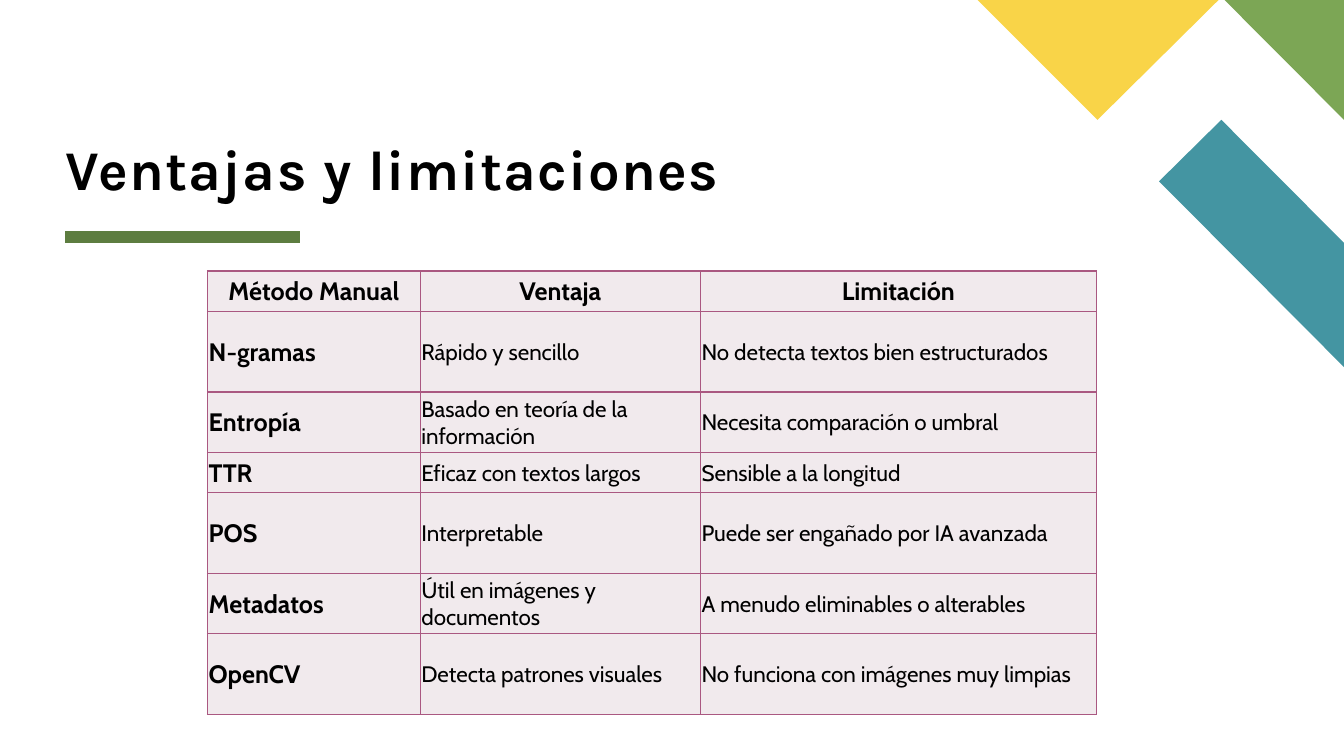
import pptx
import pptx.dml.color
import pptx.enum.shapes
import pptx.enum.text
import pptx.oxml
import pptx.oxml.ns
import pptx.util

Cm = pptx.util.Cm
Pt = pptx.util.Pt
RGBColor = pptx.dml.color.RGBColor
ALIGN = pptx.enum.text.PP_ALIGN
ANCHOR = pptx.enum.text.MSO_ANCHOR

BLACK = RGBColor(0x00, 0x00, 0x00)
TEAL = RGBColor(0x44, 0x95, 0xA2)
GREEN = RGBColor(0x7C, 0xA6, 0x55)
DARK_GREEN = RGBColor(0x5D, 0x7D, 0x40)
YELLOW = RGBColor(0xF9, 0xD4, 0x48)
MAUVE = RGBColor(0xAA, 0x58, 0x81)
PALE_MAUVE = RGBColor(0xF1, 0xEA, 0xED)

TITLE_FONT = {"name": "Karla", "size": Pt(40), "bold": True}
HEADING_FONT = {"name": "Cabin", "size": Pt(18), "bold": True}
BODY_FONT = {"name": "Cabin", "size": Pt(16), "bold": False}
CELL_FORMAT = {
    "margin_left": Cm(0.03),
    "margin_right": Cm(0.03),
    "margin_top": Cm(0.03),
    "margin_bottom": 0,
    "vertical_anchor": ANCHOR.MIDDLE,
}
TITLE_FRAME = {
    "margin_left": 0,
    "margin_right": 0,
    "margin_top": 0,
    "margin_bottom": 0,
    "vertical_anchor": ANCHOR.BOTTOM,
    "word_wrap": True,
    "auto_size": pptx.enum.text.MSO_AUTO_SIZE.NONE,
}

# Corner pieces: colour and corners in cm, relative to the decoration box
CORNER_PIECES = [
    (TEAL, [(4.57, 4.57), (6.14, 3.02), (9.23, 6.12), (9.23, 9.25)]),
    (GREEN, [(6.22, 0), (9.23, 0), (9.23, 3.02)]),
    (YELLOW, [(0, 0), (6.07, 0), (3.02, 3.02)]),
]

COLUMN_WIDTHS = [5.36, 7.06, 9.98]
ROW_HEIGHTS = [1.02, 2.03, 1.52, 1.02, 2.03, 1.52, 2.03]
METHODS = [
    ("Método Manual", "Ventaja", "Limitación"),
    ("N-gramas", "Rápido y sencillo", "No detecta textos bien estructurados"),
    ("Entropía", "Basado en teoría de la información", "Necesita comparación o umbral"),
    ("TTR", "Eficaz con textos largos", "Sensible a la longitud"),
    ("POS", "Interpretable", "Puede ser engañado por IA avanzada"),
    ("Metadatos", "Útil en imágenes y documentos", "A menudo eliminables o alterables"),
    ("OpenCV", "Detecta patrones visuales", "No funciona con imágenes muy limpias"),
]


def apply_format(target, values):
    for name, value in values.items():
        setattr(target, name, value)


def write_text(paragraph, text, font_format):
    run = paragraph.add_run()
    run.text = text
    apply_format(run.font, font_format)
    run.font.color.rgb = BLACK
    return run


def add_corner_decoration(slide, left, top):
    for color, corners in CORNER_PIECES:
        points = [(Cm(left + x), Cm(top + y)) for x, y in corners]
        builder = slide.shapes.build_freeform(*points[0])
        builder.add_line_segments(points[1:], close=True)
        shape = builder.convert_to_shape()
        shape.shadow.inherit = False
        shape.fill.solid()
        shape.fill.fore_color.rgb = color
        shape.line.fill.background()


def add_title(slide, left, top, width, height):
    title = slide.shapes.title
    apply_format(title, {"left": Cm(left), "top": Cm(top),
                         "width": Cm(width), "height": Cm(height)})
    apply_format(title.text_frame, TITLE_FRAME)
    paragraph = title.text_frame.paragraphs[0]
    apply_format(paragraph, {"alignment": ALIGN.LEFT, "line_spacing": 0.8})
    run = write_text(paragraph, "Ventajas y limitaciones", TITLE_FONT)
    run.font._element.set("spc", "100")

    # Accent line under the title
    line_top = Cm(top + height + 0.89)
    line = slide.shapes.add_connector(
        pptx.enum.shapes.MSO_CONNECTOR.STRAIGHT,
        Cm(left), line_top, Cm(left + 5.92), line_top)
    line.line.color.rgb = DARK_GREEN
    line.line.width = Pt(8)
    line._element.spPr.append(pptx.oxml.parse_xml(
        f'<a:effectLst {pptx.oxml.ns.nsdecls("a")}/>'))


def add_cell_borders(cell):
    properties = cell._tc.get_or_add_tcPr()
    for side in ("lnL", "lnR", "lnT", "lnB"):
        properties.append(pptx.oxml.parse_xml(
            f'<a:{side} {pptx.oxml.ns.nsdecls("a")} w="{Pt(1)}">'
            f'<a:solidFill><a:srgbClr val="{MAUVE}"/></a:solidFill></a:{side}>'))


def add_methods_table(slide, left, top):
    table = slide.shapes.add_table(
        len(METHODS), len(COLUMN_WIDTHS), Cm(left), Cm(top),
        Cm(sum(COLUMN_WIDTHS)), Cm(sum(ROW_HEIGHTS))).table
    apply_format(table, {"first_row": False, "horz_banding": False})
    for column, width in zip(table.columns, COLUMN_WIDTHS):
        column.width = Cm(width)
    for row, height in zip(table.rows, ROW_HEIGHTS):
        row.height = Cm(height)

    for row_index, texts in enumerate(METHODS):
        for column_index, text in enumerate(texts):
            cell = table.cell(row_index, column_index)
            apply_format(cell, CELL_FORMAT)
            add_cell_borders(cell)
            cell.fill.solid()
            cell.fill.fore_color.rgb = PALE_MAUVE
            is_heading = row_index == 0 or column_index == 0
            paragraph = cell.text_frame.paragraphs[0]
            paragraph.alignment = ALIGN.CENTER if row_index == 0 else ALIGN.LEFT
            write_text(paragraph, text, HEADING_FONT if is_heading else BODY_FONT)


def main():
    presentation = pptx.Presentation()
    presentation.slide_width = Cm(33.87)
    presentation.slide_height = Cm(19.05)
    slide = presentation.slides.add_slide(presentation.slide_layouts[5])
    add_corner_decoration(slide, 24.64, 0)
    add_title(slide, 1.65, 0.76, 26.47, 4.32)
    add_methods_table(slide, 5.23, 6.83)
    presentation.save("out.pptx")


if __name__ == "__main__":
    main()
